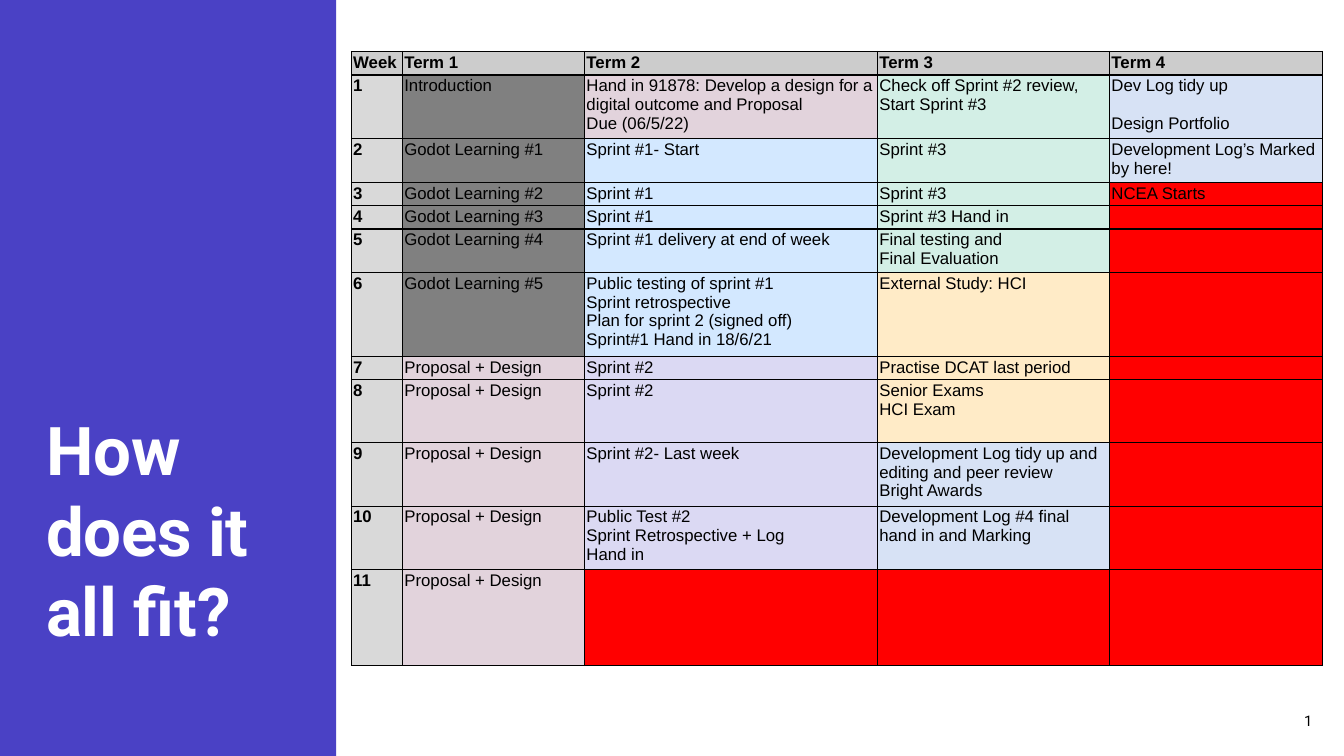
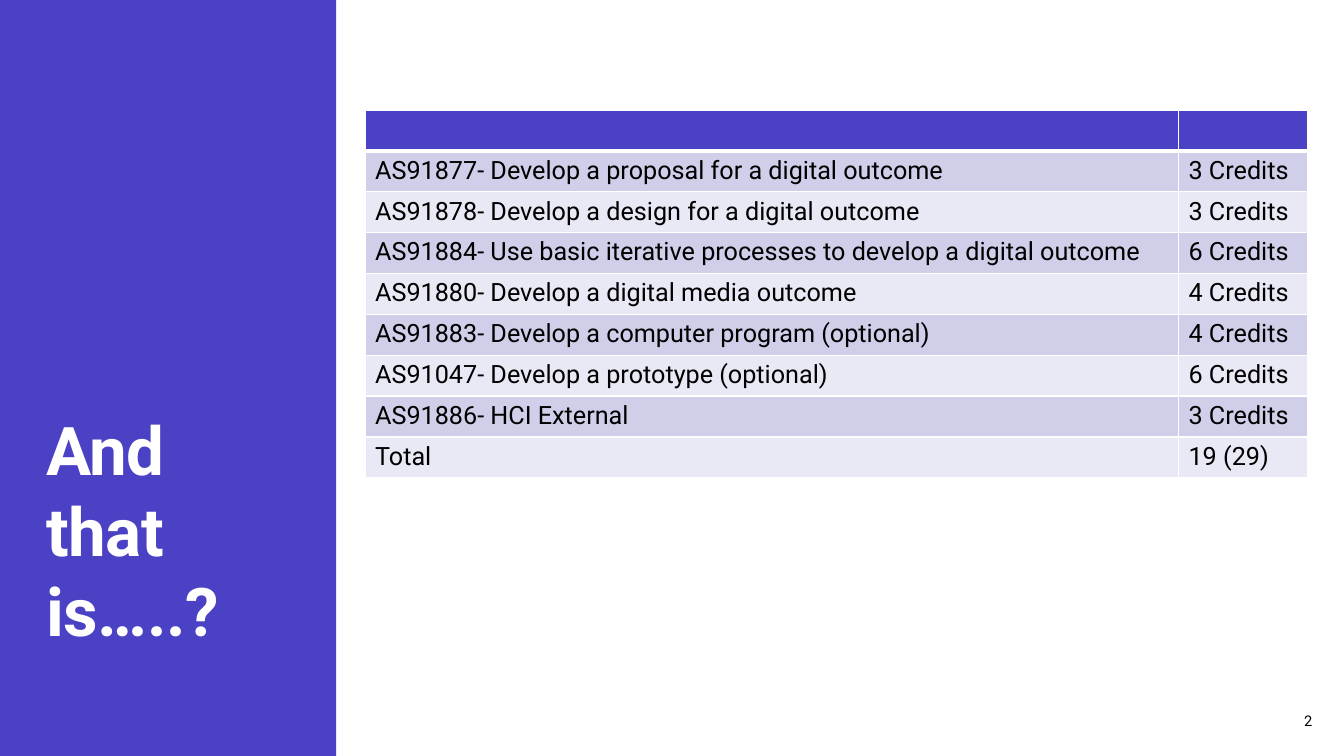
from lxml import etree
from pptx import Presentation
from pptx.dml.color import RGBColor
from pptx.enum.shapes import MSO_SHAPE
from pptx.enum.text import MSO_ANCHOR, MSO_AUTO_SIZE, PP_ALIGN
from pptx.oxml.ns import qn
from pptx.util import Cm, Pt

RECT = MSO_SHAPE.RECTANGLE
MIDDLE, BOTTOM = MSO_ANCHOR.MIDDLE, MSO_ANCHOR.BOTTOM
LEFT, RIGHT = PP_ALIGN.LEFT, PP_ALIGN.RIGHT
NO_FIT = MSO_AUTO_SIZE.NONE
TITLE_ONLY = 5

INDIGO = RGBColor(0x4A, 0x41, 0xC5)
WHITE = RGBColor(0xFF, 0xFF, 0xFF)
BLACK = RGBColor(0x00, 0x00, 0x00)
RED = RGBColor(0xFF, 0x00, 0x00)
SILVER = RGBColor(0xCC, 0xCC, 0xCC)
PALE_GREY = RGBColor(0xD9, 0xD9, 0xD9)
GREY = RGBColor(0x80, 0x80, 0x80)
PINK = RGBColor(0xE2, 0xD3, 0xDC)
SKY = RGBColor(0xD3, 0xE8, 0xFF)
LILAC = RGBColor(0xDB, 0xD9, 0xF3)
MINT = RGBColor(0xD3, 0xEF, 0xE6)
CREAM = RGBColor(0xFF, 0xEB, 0xC7)
ICE = RGBColor(0xD7, 0xE2, 0xF5)
BAND_DARK = RGBColor(0xD0, 0xCF, 0xEA)
BAND_LIGHT = RGBColor(0xE9, 0xE9, 0xF5)

PLAN = [
    ("Week", "Term 1", "Term 2", "Term 3", "Term 4"),
    ("1", "Introduction",
     "Hand in 91878: Develop a design for a digital outcome and Proposal\nDue (06/5/22)",
     "Check off Sprint #2 review,\nStart Sprint #3", "Dev Log tidy up\nDesign Portfolio"),
    ("2", "Godot Learning #1", "Sprint #1- Start", "Sprint #3",
     "Development Log’s Marked by here!"),
    ("3", "Godot Learning #2", "Sprint #1", "Sprint #3", "NCEA Starts"),
    ("4", "Godot Learning #3", "Sprint #1", "Sprint #3 Hand in", ""),
    ("5", "Godot Learning #4", "Sprint #1 delivery at end of week",
     "Final testing and\nFinal Evaluation", ""),
    ("6", "Godot Learning #5",
     "Public testing of sprint #1\nSprint retrospective\n"
     "Plan for sprint 2 (signed off)\nSprint#1 Hand in 18/6/21",
     "External Study: HCI", ""),
    ("7", "Proposal + Design", "Sprint #2", "Practise DCAT last period", ""),
    ("8", "Proposal + Design", "Sprint #2", "Senior Exams\nHCI Exam", ""),
    ("9", "Proposal + Design", "Sprint #2- Last week",
     "Development Log tidy up and editing and peer review\nBright Awards", ""),
    ("10", "Proposal + Design", "Public Test #2\nSprint Retrospective + Log\nHand in",
     "Development Log #4 final hand in and Marking", ""),
    ("11", "Proposal + Design", "", "", ""),
]
PLAN_FILLS = [
    [SILVER] + [PALE_GREY] * 11,
    [SILVER] + [GREY] * 6 + [PINK] * 5,
    [SILVER, PINK] + [SKY] * 5 + [LILAC] * 4 + [RED],
    [SILVER] + [MINT] * 5 + [CREAM] * 3 + [ICE] * 2 + [RED],
    [SILVER] + [ICE] * 2 + [RED] * 9,
]
PLAN_WIDTHS = [1.29, 4.59, 7.38, 5.85, 5.35]
PLAN_HEIGHTS = [0.55, 1.51, 1.04, 0.55, 0.55, 1.04, 1.98, 0.55, 1.58, 1.51, 1.51, 2.42]

CREDITS = [
    ("", ""),
    ("AS91877- Develop a proposal for a digital outcome", "3 Credits"),
    ("AS91878- Develop a design for a digital outcome", "3 Credits"),
    ("AS91884- Use basic iterative processes to develop a digital outcome", "6 Credits"),
    ("AS91880- Develop a digital media outcome", "4 Credits"),
    ("AS91883- Develop a computer program (optional)", "4 Credits"),
    ("AS91047- Develop a prototype (optional)", "6 Credits"),
    ("AS91886- HCI External", "3 Credits"),
    ("Total", "19 (29)"),
]
CREDIT_FILLS = [[INDIGO] + [BAND_DARK, BAND_LIGHT] * 4] * 2


def write(tf, text, size=18, font="Roboto", color=BLACK, bold=False, align=LEFT):
    for i, line in enumerate(text.split("\n")):
        p = tf.add_paragraph() if i else tf.paragraphs[0]
        p.alignment = align
        if not line:
            etree.SubElement(p._p, qn("a:endParaRPr"), sz=str(size * 100))
            continue
        r = p.add_run()
        r.text = line
        r.font.size, r.font.name, r.font.bold = Pt(size), font, bold
        r.font.color.rgb = color


def set_border(cell, color, widths):
    tc_pr = cell._tc.get_or_add_tcPr()
    for i, (side, width) in enumerate(zip("LRTB", widths)):
        ln = etree.Element(qn(f"a:ln{side}"), w=str(Pt(width)))
        fill = etree.SubElement(ln, qn("a:solidFill"))
        etree.SubElement(fill, qn("a:srgbClr"), val=str(color))
        tc_pr.insert(i, ln)


class Deck:
    def __init__(self):
        self.prs = Presentation()
        self.prs.slide_width, self.prs.slide_height = Cm(33.87), Cm(19.05)
        self.s = None

    def add_slide(self, title, number):
        self.s = self.prs.slides.add_slide(self.prs.slide_layouts[TITLE_ONLY])
        self.band()
        self.title(title)
        self.page_number(number)

    def band(self):
        sp = self.s.shapes.add_shape(RECT, 0, 0, Cm(8.47), self.prs.slide_height)
        sp.shadow.inherit = False
        sp.fill.solid()
        sp.fill.fore_color.rgb = INDIGO
        sp.line.fill.background()
        self.s.shapes._spTree.insert(2, sp._element)

    def title(self, text):
        sp = self.s.shapes.title
        sp.left, sp.top, sp.width, sp.height = Cm(0.91), Cm(2.77), Cm(6.63), Cm(13.74)
        tf = sp.text_frame
        tf.word_wrap, tf.auto_size, tf.vertical_anchor = True, NO_FIT, BOTTOM
        write(tf, text, size=48, color=WHITE, bold=True)
        tf.paragraphs[0].runs[0].font._element.set("spc", "-20")

    def page_number(self, number):
        sp = self.s.shapes.add_textbox(Cm(31.57), Cm(17.65), Cm(1.75), Cm(1.02))
        tf = sp.text_frame
        tf.word_wrap, tf.vertical_anchor = True, MIDDLE
        write(tf, str(number), size=10.5, align=RIGHT)
        field = tf.paragraphs[0].runs[0]._r
        field.tag = qn("a:fld")
        field.set("id", "{B6F15528-21DE-4FAA-801E-634DDDAF4B2B}")
        field.set("type", "slidenum")

    def table(self, rows, fills, left, top, widths, heights, line=BLACK,
              head_line=1, inset=None, bold_heads=False, **text_format):
        frame = self.s.shapes.add_table(len(rows), len(widths), Cm(left), Cm(top),
                                        Cm(sum(widths)), Cm(sum(heights)))
        table = frame.table
        table.first_row = table.horz_banding = False
        for col, width in zip(table.columns, widths):
            col.width = Cm(width)
        for i, (row, height) in enumerate(zip(rows, heights)):
            table.rows[i].height = Cm(height)
            for j, text in enumerate(row):
                cell = table.cell(i, j)
                if inset is not None:
                    cell.margin_left = cell.margin_right = Cm(inset)
                    cell.margin_top = cell.margin_bottom = Cm(inset)
                cell.fill.solid()
                cell.fill.fore_color.rgb = fills[j][i]
                set_border(cell, line, (1, 1, head_line if i == 1 else 1,
                                        head_line if i == 0 else 1))
                write(cell.text_frame, text, bold=bold_heads and 0 in (i, j), **text_format)
        return table


def main():
    deck = Deck()

    deck.add_slide("How does it all fit?", 5)
    plan = deck.table(PLAN, PLAN_FILLS, 8.86, 1.3, PLAN_WIDTHS, PLAN_HEIGHTS,
                      inset=0.04, bold_heads=True, size=12, font="Arial")
    plan.cell(1, 4).text_frame.paragraphs[1].space_before = Pt(13.5)

    deck.add_slide("And that is…..?", 6)
    deck.table(CREDITS, CREDIT_FILLS, 9.2, 2.77, [20.5, 3.25], [1.03] * len(CREDITS),
               line=WHITE, head_line=3)

    deck.prs.save("out.pptx")


if __name__ == "__main__":
    main()
